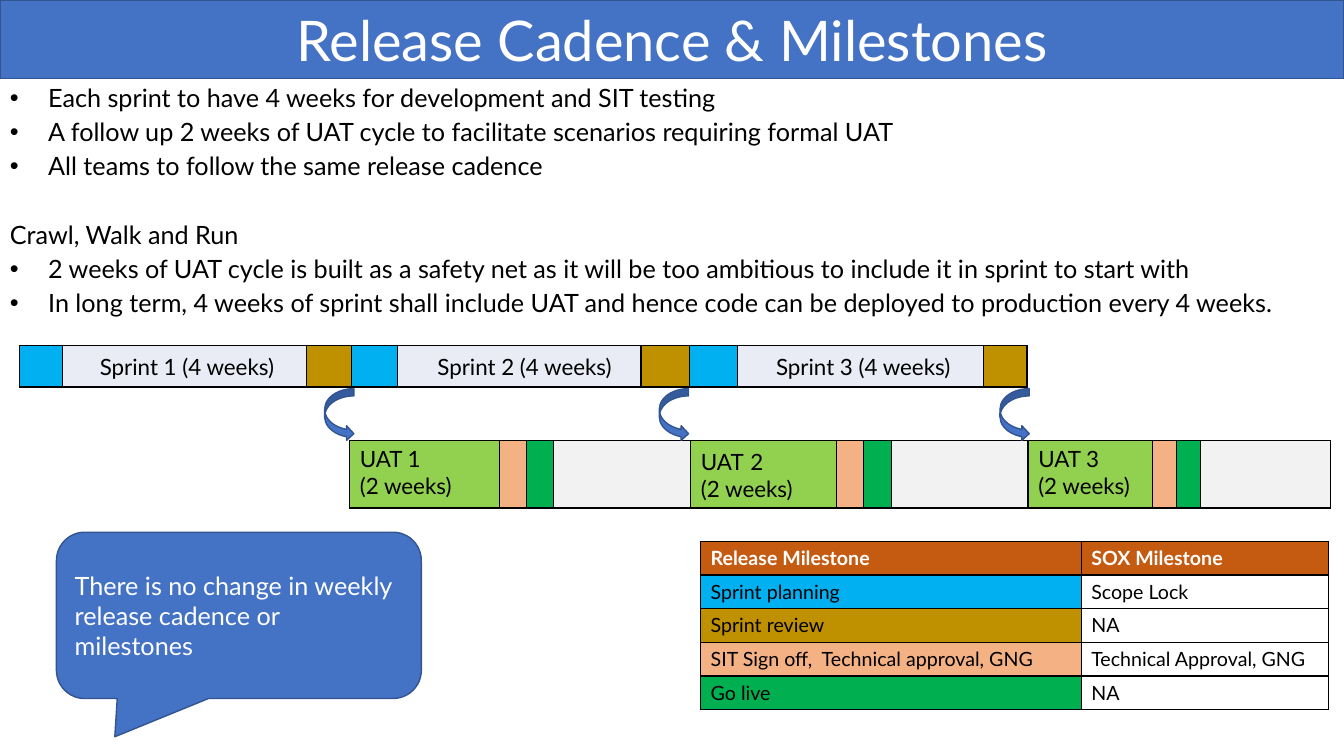
from dataclasses import dataclass

from pptx import Presentation
from pptx import util as u
from pptx.dml.color import RGBColor
from pptx.enum import shapes, text
from pptx.oxml import parse_xml
from pptx.oxml.ns import nsdecls


@dataclass(frozen=True)
class Theme:
    font: str = "Lato"
    blue: str = "4472C4"
    edge: str = "325491"
    black: str = "000000"
    white: str = "FFFFFF"
    plan: str = "00B0F0"
    sprint: str = "E9EBF5"
    review: str = "BF9000"
    uat: str = "92D050"
    sign: str = "F4B183"
    live: str = "00B050"
    idle: str = "F2F2F2"
    head: str = "C55A11"
    title: int = 40
    body: int = 18
    lane: int = 16
    small: int = 14


T = Theme()
UNIT = u.Inches(0.1)  # one column or row of the slide grid
COLS, ROWS = 133.33, 75


def span(*cells):
    """Turn grid columns and rows into lengths."""
    return [round(c * UNIT) for c in cells]


def paint(item, color):
    item.fill.solid()
    item.fill.fore_color.rgb = RGBColor.from_string(color)


def style(shape):
    """Blue fill with a thin dark outline."""
    shape.shadow.inherit = False
    paint(shape, T.blue)
    shape.line.color.rgb = RGBColor.from_string(T.edge)
    shape.line.width = u.Pt(1)


def add_run(para, words, size, color=T.black, bold=False):
    run = para.add_run()
    run.text = words
    run.font.name = T.font
    run.font.size = u.Pt(size)
    run.font.bold = bold
    run.font.color.rgb = RGBColor.from_string(color)


def next_para(frame, index):
    return frame.add_paragraph() if index else frame.paragraphs[0]


def border(cell):
    props = cell._tc.get_or_add_tcPr()
    for i, side in enumerate("LRTB"):
        props.insert(i, parse_xml(
            f'<a:ln{side} {nsdecls("a")} w="12700"><a:solidFill>'
            f'<a:srgbClr val="{T.black}"/></a:solidFill></a:ln{side}>'))


def add_grid(slide, box, widths, fills):
    """Bordered table whose column widths are parts of the box width."""
    left, top, width, height = span(*box)
    rows = len(fills)
    table = slide.shapes.add_table(
        rows, len(widths), left, top, width, height).table
    table.first_row = table.horz_banding = False
    for col, part in zip(table.columns, widths):
        col.width = round(width * part / sum(widths))
    for r, line in enumerate(fills):
        table.rows[r].height = round(height / rows)
        for c, color in enumerate(line):
            cell = table.cell(r, c)
            paint(cell, color)
            border(cell)
    return table


def add_title(slide, box, words):
    title = slide.shapes.title
    title.left, title.top, title.width, title.height = span(*box)
    style(title)
    frame = title.text_frame
    frame.auto_size = text.MSO_AUTO_SIZE.NONE
    frame.vertical_anchor = text.MSO_ANCHOR.MIDDLE
    para = frame.paragraphs[0]
    para.line_spacing = 1.0
    add_run(para, words, T.title, T.white)


def add_notes(slide, box, lines):
    """Body text; each line is its words, bullet flag and space before."""
    frame = slide.shapes.add_textbox(*span(*box)).text_frame
    frame.word_wrap = True
    for i, (words, bullet, gap) in enumerate(lines):
        para = next_para(frame, i)
        props = para._p.get_or_add_pPr()
        if bullet:
            props.set("marL", str(u.Inches(0.38)))
            props.set("indent", str(-u.Inches(0.38)))
            props.append(parse_xml(
                f'<a:buFont {nsdecls("a")} typeface="Arial"/>'))
            props.append(parse_xml(f'<a:buChar {nsdecls("a")} char="•"/>'))
        para.line_spacing = 0.9
        para.space_before = u.Pt(gap)
        add_run(para, words, T.body)


def add_sprints(slide, box):
    widths = [43, 242, 45, 45, 242, 48, 48, 244, 43]
    table = add_grid(slide, box, widths, [[T.plan, T.sprint, T.review] * 3])
    for i, pad in enumerate([0.06, 0.12, 0.06]):
        cell = table.cell(0, 3 * i + 1)
        cell.margin_left = u.Inches(pad)
        cell.margin_right = cell.margin_top = u.Inches(0.01)
        cell.margin_bottom = 0
        cell.vertical_anchor = text.MSO_ANCHOR.MIDDLE
        para = cell.text_frame.paragraphs[0]
        para.alignment = text.PP_ALIGN.CENTER
        add_run(para, f"Sprint {i + 1} (4 weeks)", T.lane)


def add_uats(slide, box, widths, cycles):
    """Lane of test cycles; each is its number and the size of its space."""
    fills = [T.uat, T.sign, T.live, T.idle] * len(cycles)
    table = add_grid(slide, box, widths, [fills])
    for i, (number, space) in enumerate(cycles):
        frame = table.cell(0, 4 * i).text_frame
        name = frame.paragraphs[0]
        add_run(name, "UAT", T.lane)
        add_run(name, " ", space)
        add_run(name, number, T.lane)
        add_run(frame.add_paragraph(), "(2 weeks)", T.lane)


def add_arrow(slide, box):
    style(slide.shapes.add_shape(
        shapes.MSO_SHAPE.CURVED_RIGHT_ARROW, *span(*box)))


def add_key(slide, box, lines):
    """Milestone table, which is also the colour key of the lanes."""
    fills = [[T.head, T.head]] + [[row[0], T.white] for row in lines[1:]]
    table = add_grid(slide, box, [377, 245], fills)
    for r, (_, *names) in enumerate(lines):
        for c, words in enumerate(names):
            para = table.cell(r, c).text_frame.paragraphs[0]
            add_run(para, words, T.small, T.black if r else T.white, r == 0)


def add_callout(slide, box, words):
    shape = slide.shapes.add_shape(
        shapes.MSO_SHAPE.ROUNDED_RECTANGULAR_CALLOUT, *span(*box))
    for i, value in enumerate([-0.34, 0.73, 0.17]):
        shape.adjustments[i] = value
    style(shape)
    frame = shape.text_frame
    frame.word_wrap = True
    frame.vertical_anchor = text.MSO_ANCHOR.MIDDLE
    para = frame.paragraphs[0]
    para.alignment = text.PP_ALIGN.LEFT
    add_run(para, words, T.body, T.white)


def main():
    deck = Presentation()
    deck.slide_width, deck.slide_height = span(COLS, ROWS)
    slide = deck.slides.add_slide(deck.slide_layouts[5])

    # Title band and body text
    add_title(slide, (0, 0, COLS, 7.8), "Release Cadence & Milestones")
    add_notes(slide, (0, 8, COLS, 24.4), [
        ("Each sprint to have 4 weeks for development and SIT testing",
         True, 0),
        ("A follow up 2 weeks of UAT cycle to facilitate scenarios "
         "requiring formal UAT", True, 5),
        ("All teams to follow the same release cadence", True, 5),
        ("Crawl, Walk and Run", False, 29.5),
        ("2 weeks of UAT cycle is built as a safety net as it will be too "
         "ambitious to include it in sprint to start with", True, 5),
        ("In long term, 4 weeks of sprint shall include UAT and hence code "
         "can be deployed to production every 4 weeks.", True, 5),
    ])

    # Sprint and test lanes, joined by arrows
    add_sprints(slide, (1.9, 34.3, 100, 4.1))
    add_uats(slide, (34.7, 43.7, 67.3, 6.7),
             [148, 27, 27, 136, 144, 27, 28, 135],
             [("1", T.lane), ("2", T.body)])
    add_uats(slide, (102, 43.7, 29.8, 6.7), [123, 23, 23, 129],
             [("3", T.lane)])
    for left in (32.2, 65.4, 99.2):
        add_arrow(slide, (left, 38.55, 2.9, 5.2))

    # Milestone key and remark
    add_key(slide, (69.5, 53.7, 62.3, 16.7), [
        (T.head, "Release Milestone", "SOX Milestone"),
        (T.plan, "Sprint planning", "Scope Lock"),
        (T.review, "Sprint review", "NA"),
        (T.sign, "SIT Sign off,  Technical approval, GNG",
         "Technical Approval, GNG"),
        (T.live, "Go live", "NA"),
    ])
    add_callout(slide, (5.6, 52.8, 36.2, 16.5),
                "There is no change in weekly release cadence or milestones")
    deck.save("out.pptx")


if __name__ == "__main__":
    main()
